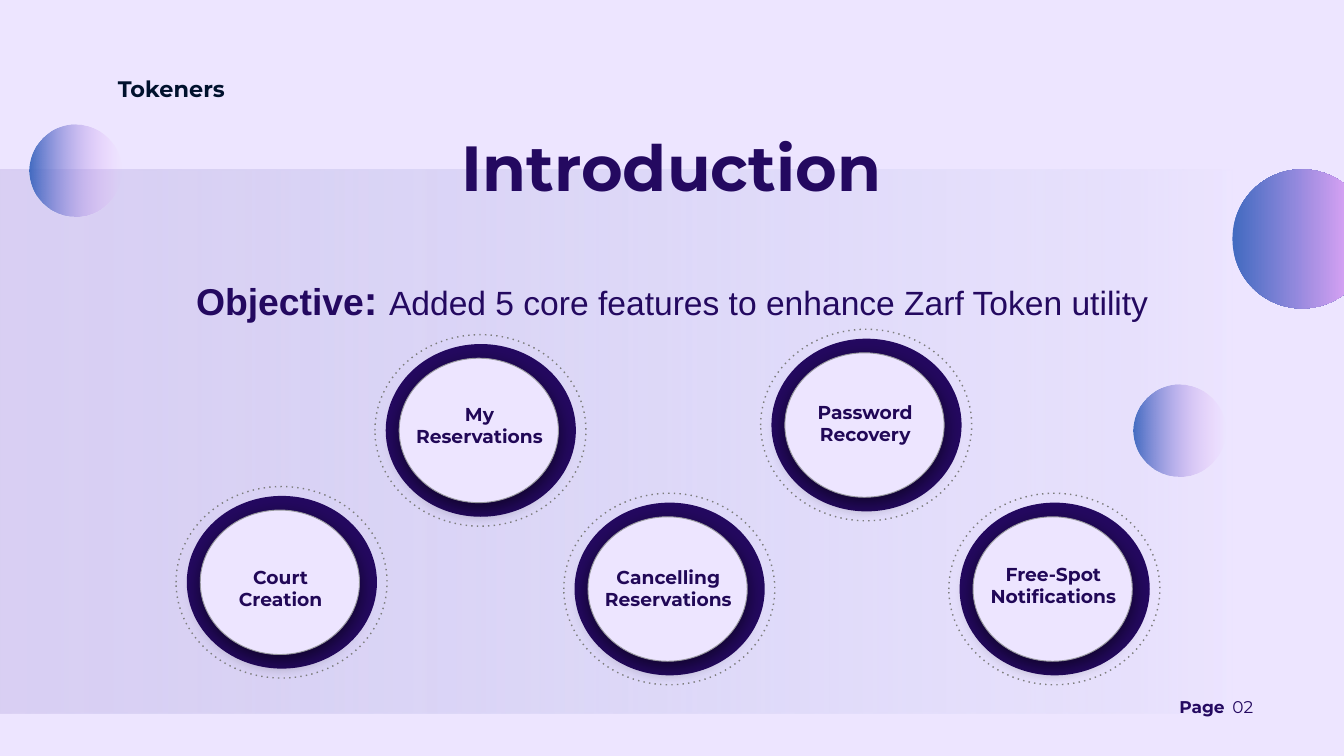
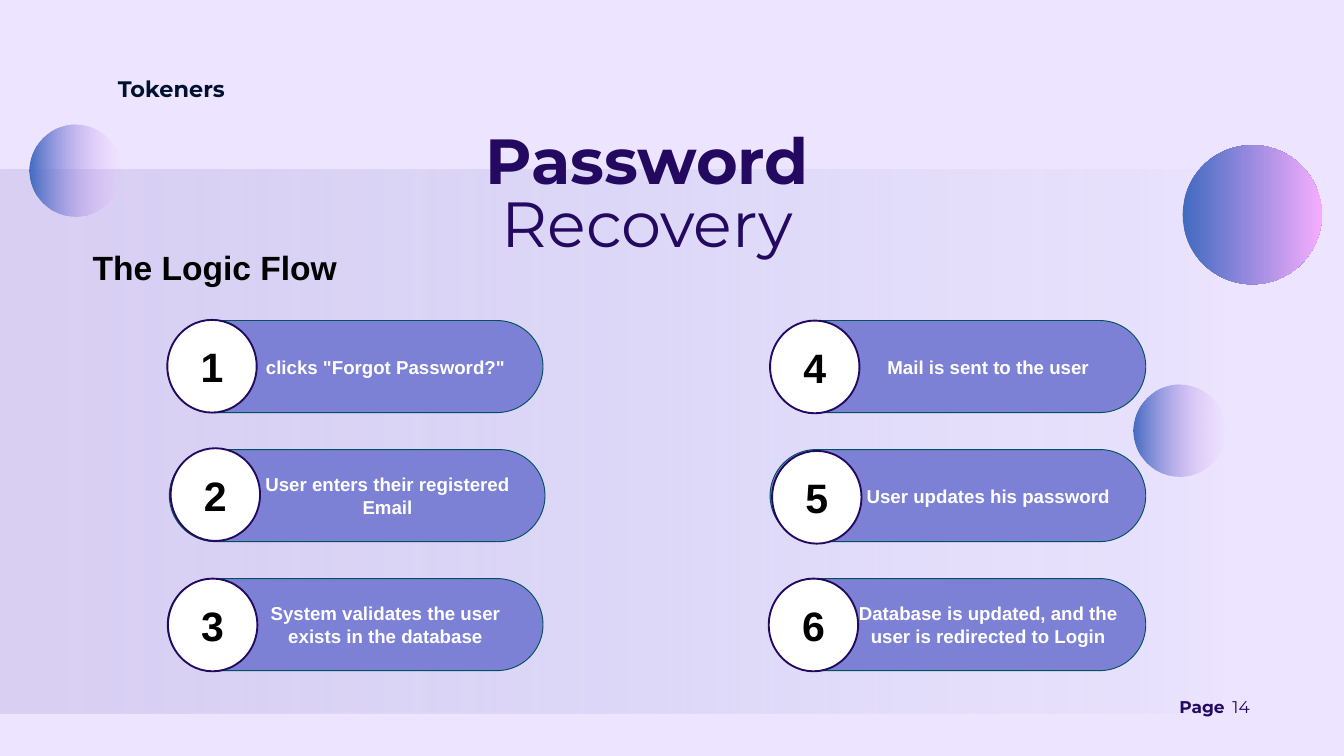
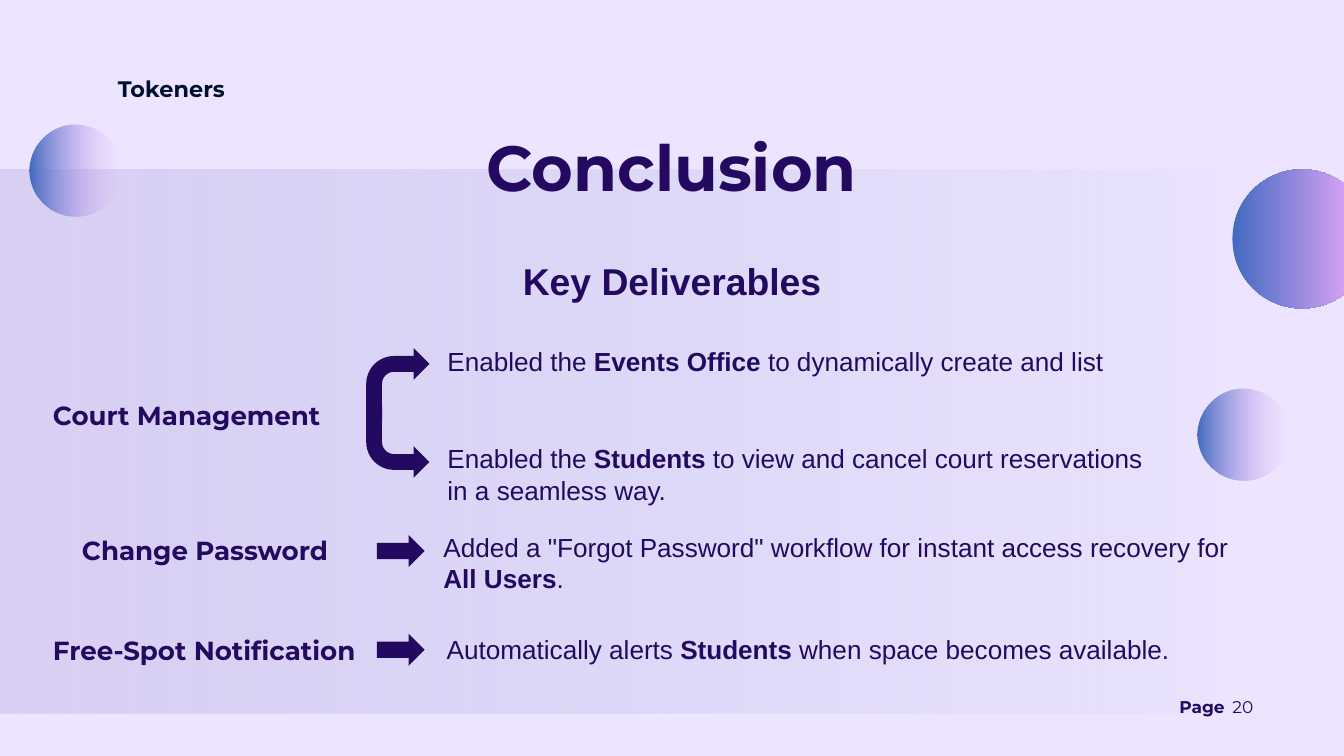
from dataclasses import dataclass, replace

from lxml.etree import Element, SubElement
from pptx import Presentation
from pptx.dml.color import RGBColor
from pptx.enum.shapes import MSO_SHAPE
from pptx.enum.text import MSO_ANCHOR, MSO_AUTO_SIZE, PP_ALIGN
from pptx.oxml.ns import qn
from pptx.util import Emu, Pt

EMU_PER_PX = 9144


@dataclass(frozen=True)
class Style:
    """Type style of a span."""
    size: float
    name: str = "Arial"
    color: str = "240960"
    bold: bool = True


@dataclass(frozen=True)
class Theme:
    """Colours, gradients and type styles shared by all pages."""
    paper: str = "EDE5FF"
    ink: str = "240960"
    white: str = "FFFFFF"
    pill: str = "7D81D6"
    pill_edge: str = "00515C"
    rim: str = "96979D"
    orbit: str = "7D7D7D"
    panel: tuple = ((0, "D9CFF3", 100), (83, "C7C9F0", 18), (100, "EDE5FF", 39))
    solid_orb: tuple = ((0, "3C67BF", 96), (100, "F7ACFF", 96))
    faded_orb: tuple = ((0, "3C67BF", 96), (100, "F7ACFF", 0))
    title: Style = Style(68.3, "Montserrat")
    title_light: Style = Style(68.3, "Montserrat", bold=False)
    team: Style = Style(24, "Montserrat", "00112D")
    footer: Style = Style(18.2, "Montserrat")
    footer_light: Style = Style(18.2, "Montserrat", bold=False)
    heading: Style = Style(40)
    colon: Style = Style(44)
    objective: Style = Style(36, bold=False)
    flow: Style = Style(36, color="000000")
    feature: Style = Style(20, "Montserrat", "210857")
    step: Style = Style(20, color="FFFFFF")
    number: Style = Style(44, color="000000")
    topic: Style = Style(28, "Montserrat")
    body: Style = Style(28, bold=False)
    strong: Style = Style(28)


THEME = Theme()


def px(value):
    """Turn px into EMU."""
    return Emu(value * EMU_PER_PX)


def apply(target, values):
    """Set attributes of target from a dict."""
    for name, value in values.items():
        setattr(target, name, value)


def write(frame, paras, align=PP_ALIGN.LEFT, spacing=None, insets=(10, 5, 10, 5), **values):
    """Fill a text frame with paragraphs made of (text, style) spans."""
    sides = ("margin_left", "margin_top", "margin_right", "margin_bottom")
    apply(frame, {"word_wrap": True, **dict(zip(sides, map(px, insets))), **values})
    for index, spans in enumerate(paras):
        para = frame.add_paragraph() if index else frame.paragraphs[0]
        apply(para, {"alignment": align, "line_spacing": spacing})
        for text, style in spans:
            span = para.add_run()
            span.text = text
            apply(span.font, {"name": style.name, "size": Pt(style.size), "bold": style.bold})
            span.font.color.rgb = RGBColor.from_string(style.color)


def add_text(page, box, *paras, **values):
    """Add a text box that grows with its text."""
    frame = page.shapes.add_textbox(*map(px, box)).text_frame
    write(frame, paras, auto_size=MSO_AUTO_SIZE.SHAPE_TO_FIT_TEXT, **values)


def add_colour(parent, color, opacity):
    """Append a colour with an opacity in percent."""
    node = SubElement(parent, qn("a:srgbClr"), val=color)
    SubElement(node, qn("a:alpha"), val=str(opacity * 1000))


def add_figure(page, kind, box, fill=None, line=None, width=1, adjust=()):
    """Add a preset shape with plain fill and line and no shadow."""
    shape = page.shapes.add_shape(kind, *map(px, box))
    shape.shadow.inherit = False
    for index, value in enumerate(adjust):
        shape.adjustments[index] = value
    for paint, color in ((shape.fill, fill), (shape.line.fill, line)):
        if color:
            paint.solid()
            paint.fore_color.rgb = RGBColor.from_string(color)
        else:
            paint.background()
    if line:
        shape.line.width = Pt(width)
    return shape


def add_gradient(page, kind, box, stops):
    """Add a shape with a left-to-right gradient."""
    properties = add_figure(page, kind, box)._element.spPr
    gradient = Element(qn("a:gradFill"), rotWithShape="1")
    stop_list = SubElement(gradient, qn("a:gsLst"))
    for position, color, opacity in stops:
        add_colour(SubElement(stop_list, qn("a:gs"), pos=str(position * 1000)), color, opacity)
    SubElement(gradient, qn("a:lin"), ang="0", scaled="0")
    properties.replace(properties.find(qn("a:noFill")), gradient)


def add_orb(page, left, top, size=137, stops=THEME.faded_orb):
    """Add a decorative gradient ball."""
    add_gradient(page, MSO_SHAPE.OVAL, (left, top, size, size), stops)


def add_backdrop(deck, number):
    """Start a page with background, panel, team name and page number."""
    page = deck.slides.add_slide(deck.slide_layouts[6])
    page.background.fill.solid()
    page.background.fill.fore_color.rgb = RGBColor.from_string(THEME.paper)
    add_gradient(page, MSO_SHAPE.RECTANGLE, (0, 252, 1834, 810), THEME.panel)
    add_orb(page, 44, 185)
    flat = {"insets": (0, 0, 0, 0)}
    add_text(page, (152, 61, 206, 66), [("Tokeners", THEME.team)],
             align=PP_ALIGN.CENTER, spacing=2.28, **flat)
    add_text(page, (1755, 1036, 79, 31), [("Page", THEME.footer)], spacing=1.02, **flat)
    add_text(page, (1834, 1036, 39, 31), [(number, THEME.footer_light)], spacing=1.02, **flat)
    return page


def add_title(page, box, text, style=THEME.title):
    """Add one centred title line."""
    add_text(page, box, [(text, style)], align=PP_ALIGN.CENTER, spacing=0.8, insets=(0, 0, 0, 0))


def add_feature(page, left, top, label_top, words):
    """Add a ringed feature with a dotted orbit and a label."""
    kind = MSO_SHAPE.FLOWCHART_CONNECTOR
    add_figure(page, kind, (left + 16, top + 14, 283, 257), THEME.ink)
    core = add_figure(page, kind, (left + 36, top + 35, 237, 215), THEME.paper, THEME.rim)
    effects = core._element.spPr.find(qn("a:effectLst"))
    shadow = SubElement(effects, qn("a:outerShdw"), blurRad=str(Pt(20)), dist=str(Pt(6)),
                        dir="5400000", algn="t", rotWithShape="0")
    add_colour(shadow, "000000", 55)
    orbit = add_figure(page, kind, (left, top, 314, 285), line=THEME.orbit, width=1.5)
    SubElement(orbit._element.spPr.find(qn("a:ln")), qn("a:prstDash"), val="dot")
    add_text(page, (left + 50, top + label_top, 211, 77),
             *[[(word, THEME.feature)] for word in words], align=PP_ALIGN.CENTER)


def add_step(page, left, top, number, text, nudge):
    """Add a numbered pill whose disc is nudged from its left end."""
    centred = {"align": PP_ALIGN.CENTER, "vertical_anchor": MSO_ANCHOR.MIDDLE}
    pill = add_figure(page, MSO_SHAPE.ROUNDED_RECTANGLE, (left, top, 559, 137),
                      THEME.pill, THEME.pill_edge, adjust=(0.5,))
    write(pill.text_frame, [[(text, THEME.step)]], insets=(100, 5, 10, 5), **centred)
    disc = add_figure(page, MSO_SHAPE.OVAL, (left + nudge[0], top + nudge[1], 133, 138),
                      THEME.white, THEME.ink, 2)
    write(disc.text_frame, [[(str(number), THEME.number)]], **centred)


def add_topic(page, left, top, text):
    """Add the name of a deliverable."""
    add_text(page, (left, top, 472, 57), [(text, THEME.topic)])


def add_result(page, box, before, strong, after):
    """Add a sentence with one bold part."""
    add_text(page, box, [(before, THEME.body), (strong, THEME.strong), (after, THEME.body)])


def build_introduction(deck):
    """Build the page of the five features."""
    page = add_backdrop(deck, "02")
    add_orb(page, 1834, 252, 207, THEME.solid_orb)
    add_orb(page, 1687, 572)
    add_title(page, (652, 212, 695, 84), "Introduction")
    add_text(page, (267, 403, 1467, 84),
             [("Objective", THEME.heading), (": ", THEME.colon),
              ("Added 5 core features to enhance Zarf Token utility", THEME.objective)],
             align=PP_ALIGN.CENTER)
    features = (
        (558, 498, 96, ("My", "Reservations")),
        (839, 734, 103, ("Cancelling", "Reservations")),
        (1132, 490, 101, ("Password", "Recovery")),
        (1412, 734, 98, ("Free-Spot", "Notifications")),
        (262, 724, 113, ("Court", "Creation")),
    )
    for feature in features:
        add_feature(page, *feature)


def build_recovery(deck):
    """Build the page of the six password recovery steps."""
    page = add_backdrop(deck, "14")
    add_title(page, (563, 202, 800, 92), "Password")
    add_title(page, (721, 295, 485, 92), "Recovery", THEME.title_light)
    add_text(page, (128, 363, 388, 71), [("The Logic Flow", THEME.flow)])
    steps = (
        (249, 'clicks "Forgot Password?"', (0, -1)),
        (252, "User enters their registered Email", (2, -2)),
        (249, "System validates the user exists in the database", (1, 0)),
        (1146, "Mail is sent to the user", (0, 0)),
        (1146, "User updates his password", (3, 2)),
        (1146, "Database is updated, and the user is redirected to Login", (-2, 0)),
    )
    for index, (left, text, nudge) in enumerate(steps):
        add_step(page, left, 477 + index % 3 * 192, index + 1, text, nudge)
    add_orb(page, 1687, 572)
    add_orb(page, 1760, 216, 207, THEME.solid_orb)


def build_conclusion(deck):
    """Build the page of the key deliverables."""
    page = add_backdrop(deck, "20")
    add_orb(page, 1834, 252, 207, THEME.solid_orb)
    add_orb(page, 1782, 578)
    add_title(page, (652, 212, 695, 84), "Conclusion")
    add_text(page, (764, 379, 472, 77), [("Key Deliverables", THEME.heading)],
             align=PP_ALIGN.CENTER)
    topics = ((69, 589, "Court Management"), (112, 790, "Change Password"),
              (69, 939, "Free-Spot Notification"))
    for topic in topics:
        add_topic(page, *topic)
    bends = [add_figure(page, MSO_SHAPE.BENT_ARROW, (545, top, 94, 98), THEME.ink,
                        adjust=(0.25, 0.25, 0.25, 0.44)) for top in (518, 613)]
    bends[1]._element.spPr.find(qn("a:xfrm")).set("flipV", "1")
    for top in (796, 943):
        add_figure(page, MSO_SHAPE.RIGHT_ARROW, (561, top, 71, 48), THEME.ink)
    results = (
        ((656, 509, 1011, 57), "Enabled the ", "Events Office ",
         "to dynamically create and list"),
        ((656, 654, 1081, 104), "Enabled the ", "Students ",
         "to view and cancel court reservations in a seamless way."),
        ((650, 786, 1220, 104),
         'Added a "Forgot Password" workflow for instant access recovery for ', "All Users", "."),
        ((655, 938, 1120, 57), "Automatically alerts ", "Students",
         " when space becomes available."),
    )
    for result in results:
        add_result(page, *result)


def main():
    """Build and save the deck."""
    deck = Presentation()
    apply(deck, {"slide_width": px(2000), "slide_height": px(1125)})
    for build in (build_introduction, build_recovery, build_conclusion):
        build(deck)
    deck.save("out.pptx")


if __name__ == "__main__":
    main()
